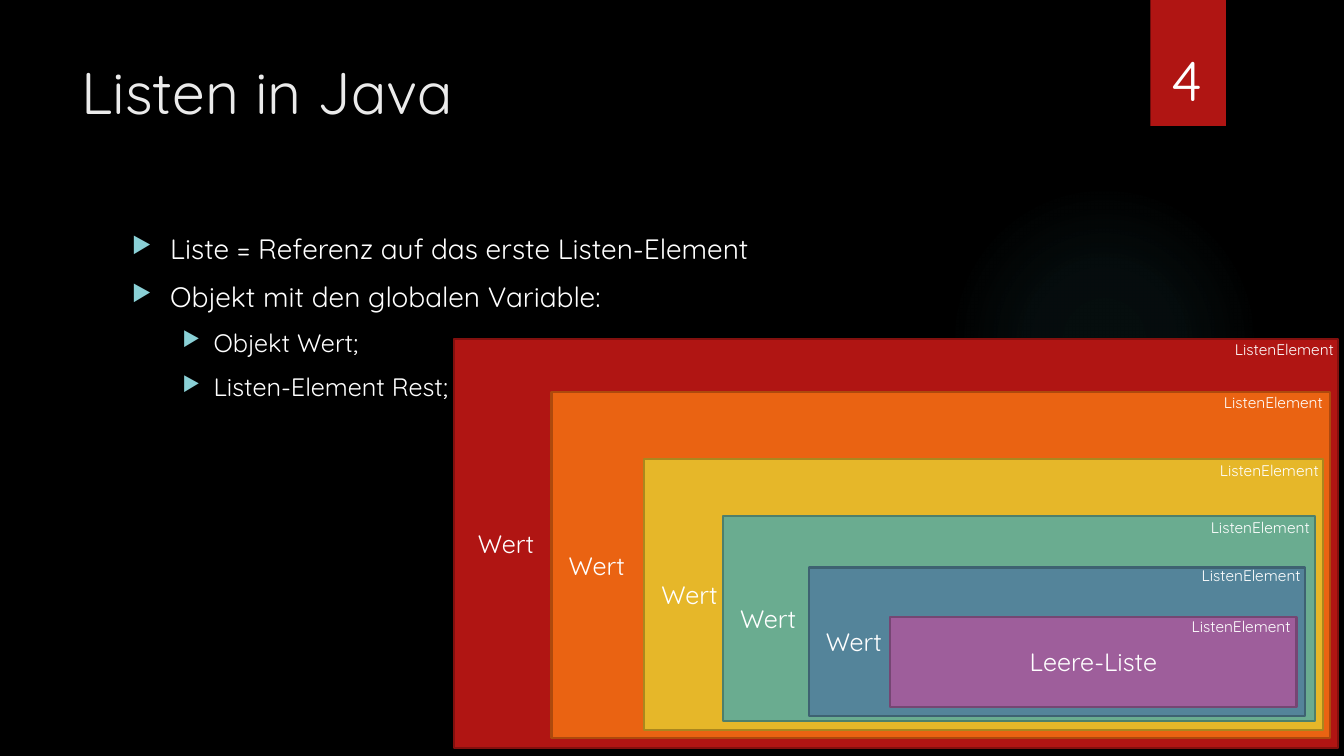
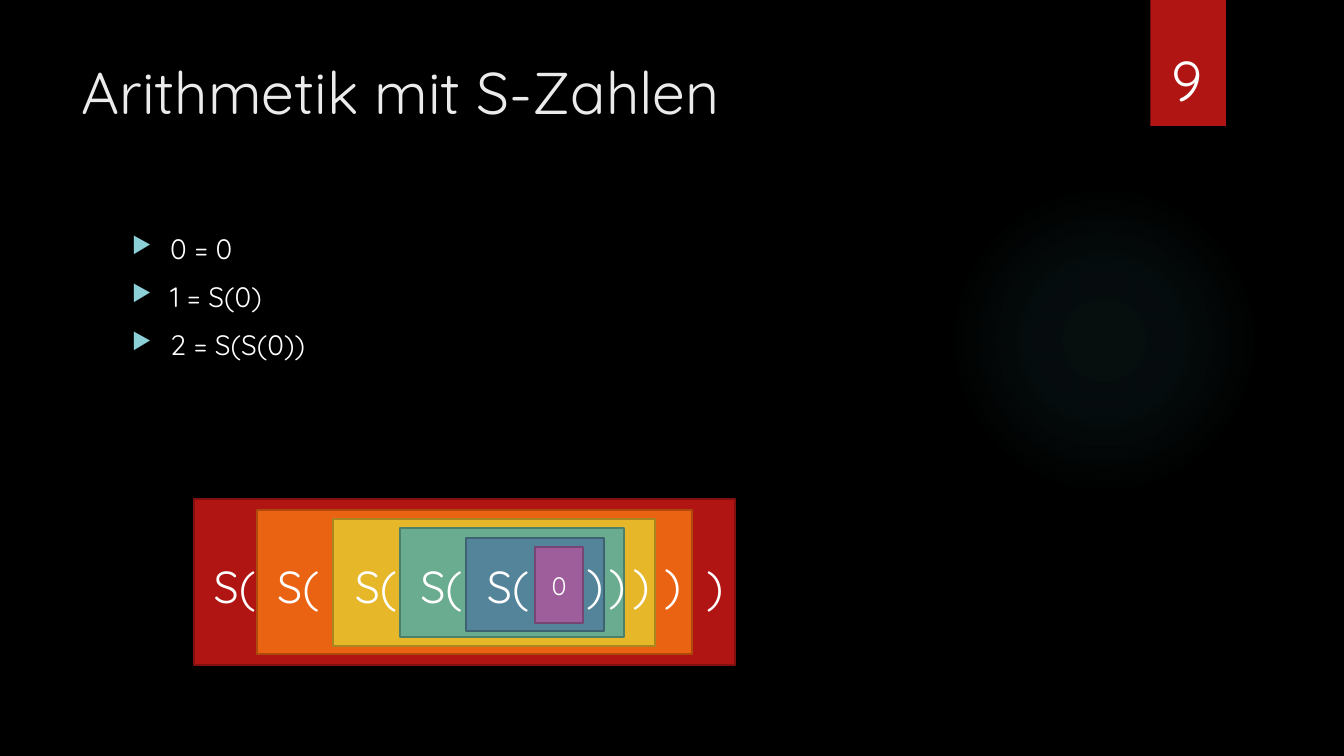
from dataclasses import dataclass

import pptx
import pptx.dml.color
import pptx.enum.shapes
import pptx.enum.text
import pptx.oxml
import pptx.oxml.ns
import pptx.util
from lxml import etree

EMU_PER_PX = 9144  # 100 px to the inch
FONT = "Quicksand"
BLACK, WHITE, TITLE_COLOUR = "000000", "FFFFFF", "EBEBEB"
RED, GLOW, BULLET = "B01513", "50B9C1", "8AD0D6"
NEST_COLOURS = [  # fill and outline, from the outermost box inwards
    (RED, "82100E"),
    ("EA6312", "AD490D"),
    ("E6B729", "AA871E"),
    ("6AAC90", "4E7F6B"),
    ("54849A", "3E6272"),
    ("9E5E9B", "754673"),
]
GLOW_STOPS = [(0, 7), (36, 6), (69, 0)]  # position and opacity, percent
BULLET_INDENTS = [(38, 38), (81, 31)]  # left margin and hanging indent per level
BULLET_SIZES = [20, 18]

ALIGN = pptx.enum.text.PP_ALIGN
ANCHOR = pptx.enum.text.MSO_ANCHOR
SHAPE = pptx.enum.shapes.MSO_SHAPE


@dataclass(frozen=True)
class Area:
    left: int
    top: int
    width: int
    height: int

    def emu(self) -> list[int]:
        return [px(n) for n in (self.left, self.top, self.width, self.height)]


@dataclass(frozen=True)
class ListElement:
    area: Area
    label_left: int
    label_top: int
    text: str = "Wert"
    padding: int = 17
    align: ALIGN = ALIGN.LEFT


@dataclass(frozen=True)
class Successor:
    area: Area
    open_left: int
    close_left: int
    close_top: int = 547


@dataclass(frozen=True)
class Bullet:
    text: str
    level: int = 0


LIST_ELEMENTS = [
    ListElement(Area(450, 336, 877, 406), 1016, 332, padding=24),
    ListElement(Area(547, 389, 772, 343), 1005, 385),
    ListElement(Area(639, 455, 673, 269), 1001, 453),
    ListElement(Area(717, 512, 587, 203), 992, 509),
    ListElement(Area(802, 563, 492, 147), 983, 557),
    ListElement(Area(883, 612, 403, 89), 973, 607, "Leere-Liste", 10, ALIGN.CENTER),
]
SUCCESSORS = [
    Successor(Area(192, 495, 537, 165), 202, 691, 549),
    Successor(Area(255, 506, 431, 143), 265, 649),
    Successor(Area(330, 515, 320, 126), 342, 618),
    Successor(Area(397, 524, 222, 108), 407, 594),
    Successor(Area(462, 534, 137, 92), 473, 572),
]
ZERO_AREA = Area(531, 543, 47, 75)


def px(length: int) -> int:
    return length * EMU_PER_PX


def colour(value: str) -> pptx.dml.color.RGBColor:
    return pptx.dml.color.RGBColor.from_string(value)


def write(paragraph, text: str, *, size: int, color: str = WHITE,
          align: ALIGN = ALIGN.LEFT) -> None:
    paragraph.alignment = align
    run = paragraph.add_run()
    run.text = text
    run.font.name = FONT
    run.font.size = pptx.util.Pt(size)
    run.font.color.rgb = colour(color)


def add_text(slide, area: Area, text: str, *, grow: bool = True, **text_format) -> None:
    frame = slide.shapes.add_textbox(*area.emu()).text_frame
    frame.word_wrap = True
    if grow:
        frame.auto_size = pptx.enum.text.MSO_AUTO_SIZE.SHAPE_TO_FIT_TEXT
    write(frame.paragraphs[0], text, **text_format)


def add_box(slide, area: Area, fill: str, line: str | None = None):
    box = slide.shapes.add_shape(SHAPE.RECTANGLE, *area.emu())
    box.shadow.inherit = False
    box.fill.solid()
    box.fill.fore_color.rgb = colour(fill)
    if line:
        box.line.color.rgb = colour(line)
        box.line.width = pptx.util.Pt(1.5)
    else:
        box.line.fill.background()
    return box


def write_in_box(box, text: str, *, padding: int = 10, align: ALIGN = ALIGN.CENTER) -> None:
    frame = box.text_frame
    frame.word_wrap = True
    frame.margin_left = px(padding)
    frame.vertical_anchor = ANCHOR.MIDDLE
    write(frame.paragraphs[0], text, size=18, align=align)


def add_glow(slide) -> None:
    """Draw the faint round light, a radial gradient that fades out."""
    glow = slide.shapes.add_shape(SHAPE.OVAL, *Area(941, 183, 308, 308).emu())
    glow.shadow.inherit = False
    glow.line.fill.background()
    glow.fill.background()
    stops = "".join(
        f'<a:gs pos="{position * 1000}"><a:srgbClr val="{GLOW}">'
        f'<a:alpha val="{opacity * 1000}"/></a:srgbClr></a:gs>'
        for position, opacity in GLOW_STOPS
    )
    gradient = pptx.oxml.parse_xml(
        f'<a:gradFill {pptx.oxml.ns.nsdecls("a")} rotWithShape="1"><a:gsLst>{stops}</a:gsLst>'
        '<a:path path="circle"><a:fillToRect l="50000" t="50000" r="50000" b="50000"/>'
        "</a:path></a:gradFill>"
    )
    properties = glow.element.spPr
    properties.replace(properties.find(pptx.oxml.ns.qn("a:noFill")), gradient)


def set_bullet(paragraph, level: int) -> None:
    margin, hanging = BULLET_INDENTS[level]
    properties = paragraph._p.get_or_add_pPr()
    properties.set("marL", str(px(margin)))
    properties.set("indent", str(-px(hanging)))
    qn = pptx.oxml.ns.qn
    bullet_color = etree.SubElement(properties, qn("a:buClr"))
    etree.SubElement(bullet_color, qn("a:srgbClr"), val=BULLET)
    etree.SubElement(properties, qn("a:buSzPct"), val="80000")
    etree.SubElement(properties, qn("a:buChar"), char="▶")


def add_bullets(slide, bullets: list[Bullet]) -> None:
    frame = slide.shapes.add_textbox(*Area(121, 225, 978, 459).emu()).text_frame
    frame.word_wrap = True
    for index, bullet in enumerate(bullets):
        paragraph = frame.add_paragraph() if index else frame.paragraphs[0]
        paragraph.level = bullet.level
        paragraph.space_before = pptx.util.Pt(10)
        set_bullet(paragraph, bullet.level)
        write(paragraph, bullet.text, size=BULLET_SIZES[bullet.level])


def add_slide(presentation, title: str, number: int, bullets: list[Bullet]):
    """Add a slide with the shared glow, number band, title and bullets."""
    slide = presentation.slides.add_slide(presentation.slide_layouts[6])
    add_glow(slide)
    add_box(slide, Area(1141, 0, 75, 125), RED)
    add_text(slide, Area(71, 50, 1029, 153), title, grow=False, size=42, color=TITLE_COLOUR)
    add_bullets(slide, bullets)
    add_text(slide, Area(1152, 40, 50, 77), str(number), size=40)
    return slide


def add_list_slide(presentation) -> None:
    slide = add_slide(presentation, "Listen in Java", 4, [
        Bullet("Liste = Referenz auf das erste Listen-Element"),
        Bullet("Objekt mit den globalen Variable:"),
        Bullet("Objekt Wert;", 1),
        Bullet("Listen-Element Rest;", 1),
    ])
    for element, (fill, line) in zip(LIST_ELEMENTS, NEST_COLOURS):
        box = add_box(slide, element.area, fill, line)
        write_in_box(box, element.text, padding=element.padding, align=element.align)
    for element in LIST_ELEMENTS:
        label_area = Area(element.label_left, element.label_top, 317, 29)
        add_text(slide, label_area, "ListenElement", size=11, align=ALIGN.RIGHT)


def add_number_slide(presentation) -> None:
    slide = add_slide(presentation, "Arithmetik mit S-Zahlen", 9, [
        Bullet("0 = 0"),
        Bullet("1 = S(0)"),
        Bullet("2 = S(S(0))"),
    ])
    for successor, (fill, line) in zip(SUCCESSORS, NEST_COLOURS):
        add_box(slide, successor.area, fill, line)
    write_in_box(add_box(slide, ZERO_AREA, *NEST_COLOURS[-1]), "0")
    for successor in SUCCESSORS:
        add_text(slide, Area(successor.open_left, 549, 72, 64), "S(", size=32)
        add_text(slide, Area(successor.close_left, successor.close_top, 36, 64), ")", size=32)


def main() -> None:
    presentation = pptx.Presentation()
    presentation.slide_width = px(1333)
    presentation.slide_height = px(750)
    background = presentation.slide_master.background.fill
    background.solid()
    background.fore_color.rgb = colour(BLACK)
    add_list_slide(presentation)
    add_number_slide(presentation)
    presentation.save("out.pptx")


if __name__ == "__main__":
    main()
